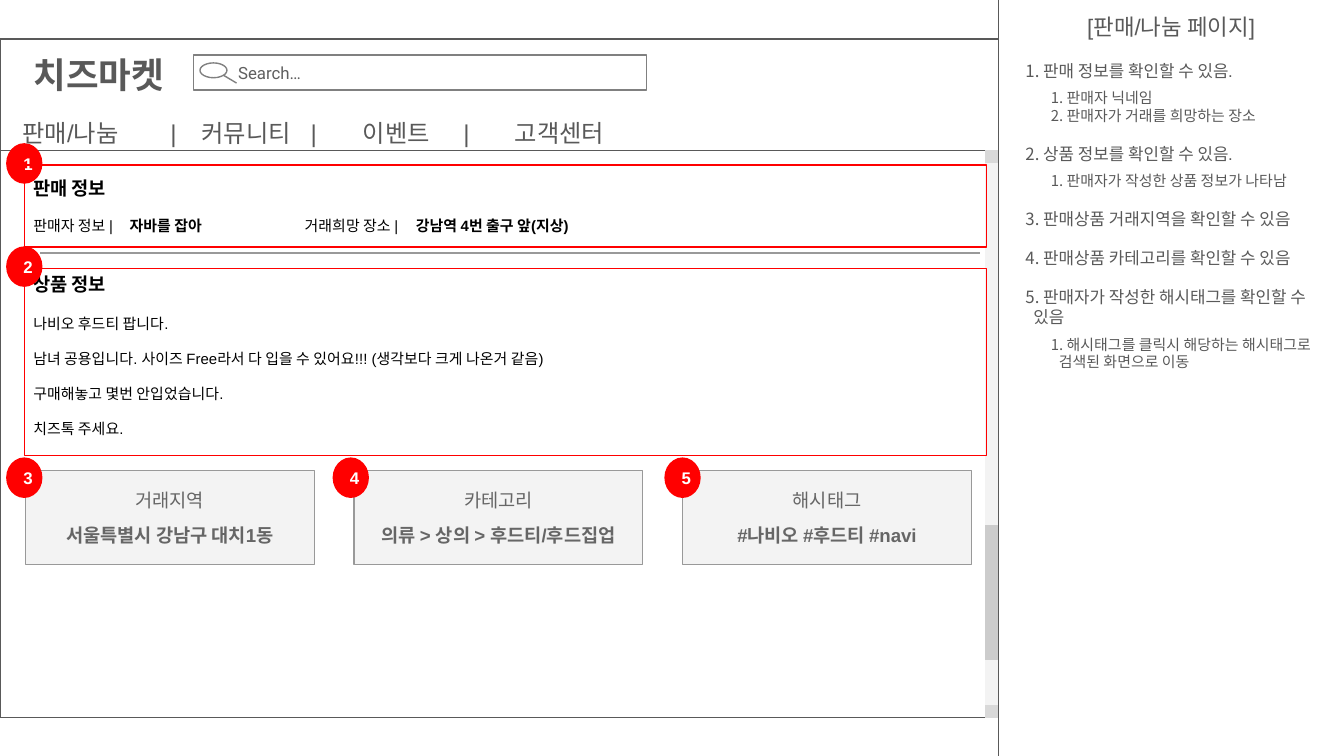
from dataclasses import dataclass
from pptx import Presentation
from pptx.dml.color import RGBColor
from pptx.enum.shapes import MSO_CONNECTOR as Conn, MSO_SHAPE as Shape
from pptx.enum.text import MSO_ANCHOR as Anchor, MSO_AUTO_SIZE as AutoSize, PP_ALIGN as Align
from pptx.oxml.ns import qn
from pptx.util import Cm, Pt
from lxml.etree import SubElement


@dataclass(frozen=True)
class Theme:
    font: str = "Arial"
    search_font: str = "Roboto"
    ink: str = "595959"
    black: str = "000000"
    white: str = "FFFFFF"
    red: str = "FF0000"
    card_text: str = "666666"
    search_text: str = "5F5F5F"
    pale: str = "F3F3F3"
    button: str = "D9D9D9"
    thumb: str = "CCCCCC"
    rule: str = "999999"
    search_line: str = "808080"
    logo: float = 19
    nav: float = 13
    title: float = 12
    heading: float = 10
    item: float = 9
    small: float = 8
    line: float = 0.75


T = Theme()
INSET = 0.25


def rgb(value):
    return RGBColor.from_string(value)


def add_text(tf, text, *, size, color=T.ink, bold=False, font=T.font, align=Align.LEFT,
             before=0, new=True, tabs=()):
    """Add a run, in a new paragraph unless new is False; tabs are in cm."""
    p = tf.paragraphs[-1]
    if new and p.runs:
        p = tf.add_paragraph()
    if new:
        p.alignment, p.space_before = align, Pt(before)
    r = p.add_run()
    r.text = text
    r.font.size, r.font.bold, r.font.name = Pt(size), bold, font
    r.font.color.rgb = rgb(color)
    if tabs:
        tab_list = SubElement(p._p.get_or_add_pPr(), qn("a:tabLst"))
        for pos in tabs:
            SubElement(tab_list, qn("a:tab"), pos=str(Cm(pos)), algn="l")
    return p


def number(p, left, hanging):
    """Give a paragraph an automatic number."""
    pPr = p._p.get_or_add_pPr()
    pPr.set("marL", str(Cm(left)))
    pPr.set("indent", str(-Cm(hanging)))
    SubElement(SubElement(pPr, qn("a:buClr")), qn("a:srgbClr"), val=T.ink)
    SubElement(pPr, qn("a:buFont"), typeface=T.font)
    SubElement(pPr, qn("a:buAutoNum"), type="arabicPeriod")


class Page:
    def __init__(self, slide, theme):
        self.s, self.t = slide, theme

    def frame(self, tf, anchor=Anchor.TOP, left=INSET, top=INSET):
        tf.word_wrap, tf.auto_size, tf.vertical_anchor = True, AutoSize.NONE, anchor
        tf.margin_left, tf.margin_right = Cm(left), Cm(INSET)
        tf.margin_top = tf.margin_bottom = Cm(top)
        return tf

    def placeholder(self, index, x, y, w, h, anchor=Anchor.TOP):
        sp = self.s.placeholders[index]
        sp.left, sp.top, sp.width, sp.height = map(Cm, (x, y, w, h))
        return self.frame(sp.text_frame, anchor)

    def text(self, x, y, w, h):
        return self.frame(self.s.shapes.add_textbox(*map(Cm, (x, y, w, h))).text_frame)

    def shape(self, x, y, w, h, line, fill=None, kind=Shape.RECTANGLE, **margins):
        sp = self.s.shapes.add_shape(kind, *map(Cm, (x, y, w, h)))
        sp.shadow.inherit = False
        if fill:
            sp.fill.solid()
            sp.fill.fore_color.rgb = rgb(fill)
        else:
            sp.fill.background()
        sp.line.color.rgb, sp.line.width = rgb(line), Pt(self.t.line)
        return self.frame(sp.text_frame, Anchor.MIDDLE, **margins)

    def line(self, x1, y1, x2, y2, color):
        c = self.s.shapes.add_connector(Conn.STRAIGHT, *map(Cm, (x1, y1, x2, y2)))
        c.line.color.rgb, c.line.width = rgb(color), Pt(self.t.line)
        SubElement(c._element.spPr, qn("a:effectLst"))

    def badge(self, label, x, y):
        tf = self.shape(x, y, 0.66, 0.74, self.t.red, self.t.red, Shape.OVAL)
        add_text(tf, label, size=self.t.item, color=self.t.white, bold=True, align=Align.CENTER)

    def card(self, x, title, value):
        tf = self.shape(x, 8.89, 5.46, 1.78, self.t.rule, self.t.pale)
        style = dict(size=self.t.heading, color=self.t.card_text, align=Align.CENTER)
        add_text(tf, title, **style)
        add_text(tf, value, bold=True, before=7, **style)

    def heading(self, text, y):
        add_text(self.text(0.38, y, 3.45, 0.94), text, size=self.t.heading,
                 color=self.t.black, bold=True)

    def field(self, x, w, label, value, tab):
        tf = self.text(x, 3.84, w, 0.86)
        style = dict(size=self.t.small, color=self.t.black)
        add_text(tf, f"{label} |\t", tabs=[tab], **style)
        add_text(tf, value, bold=True, new=False, **style)


NOTES = [
    ("판매 정보를 확인할 수 있음.", ["판매자 닉네임", "판매자가 거래를 희망하는 장소"]),
    ("상품 정보를 확인할 수 있음.", ["판매자가 작성한 상품 정보가 나타남"]),
    ("판매상품 거래지역을 확인할 수 있음", []),
    ("판매상품 카테고리를 확인할 수 있음", []),
    ("판매자가 작성한 해시태그를 확인할 수 있음",
     ["해시태그를 클릭시 해당하는 해시태그로 검색된 화면으로 이동"]),
]
DESCRIPTION = [
    "나비오 후드티 팝니다.",
    "남녀 공용입니다. 사이즈 Free라서 다 입을 수 있어요!!! (생각보다 크게 나온거 같음)",
    "구매해놓고 몇번 안입었습니다.",
    "치즈톡 주세요.",
]
CARDS = [
    ("거래지역", "서울특별시 강남구 대치1동"),
    ("카테고리", "의류 > 상의 > 후드티/후드집업"),
    ("해시태그", "#나비오 #후드티 #navi"),
]
BADGES = [(0.13, 2.72), (0.13, 4.67), (0.13, 8.66), (6.3, 8.66), (12.57, 8.66)]


def main():
    prs = Presentation()
    prs.slide_width, prs.slide_height = Cm(25.4), Cm(14.29)
    page = Page(prs.slides.add_slide(prs.slide_layouts[1]), T)

    # Notes panel
    tf = page.placeholder(0, 18.87, 0, 6.53, 1.02, Anchor.MIDDLE)
    add_text(tf, "[판매/나눔 페이지]", size=T.title, align=Align.CENTER)
    tf = page.placeholder(1, 18.87, 0.89, 6.53, 13.4)
    for i, (item, details) in enumerate(NOTES):
        p = add_text(tf, f" {item}", size=T.item, before=10 if i else 0)
        number(p, 0.41, 0.15)
        for j, detail in enumerate(details):
            p = add_text(tf, f" {detail}", size=T.small, before=0 if j else 4.5)
            p.level = 1
            number(p, 0.89, 0.15)

    # Browser frame and scroll bar
    page.shape(0, 0.74, 18.87, 12.83, T.ink)
    page.line(0, 2.84, 18.82, 2.84, T.ink)
    page.shape(18.62, 2.87, 0.23, 10.69, T.pale, T.pale)
    page.shape(18.62, 9.93, 0.23, 2.54, T.thumb, T.thumb)
    for y in (2.84, 13.34):
        page.shape(18.62, y, 0.25, 0.23, T.button, T.button)
    page.line(18.87, 0, 18.87, 14.29, T.ink)

    # Sale and product details
    tf = page.text(0.38, 5.69, 15.01, 2.9)
    for i, text in enumerate(DESCRIPTION):
        add_text(tf, text, size=T.small, color=T.black, before=9.3 if i else 0)
    page.heading("판매 정보", 3.1)
    page.field(0.38, 4.93, "판매자 정보", "자바를 잡아", 1.82)
    page.field(5.51, 9.7, "거래희망 장소", "강남역 4번 출구 앞(지상)", 2.1)
    page.heading("상품 정보", 4.9)
    page.line(0.76, 4.78, 18.52, 4.78, T.rule)
    page.shape(0.46, 5.08, 18.19, 3.53, T.red)

    # Cards, numbered badges and the sale outline
    for i, (title, value) in enumerate(CARDS):
        page.card(0.48 + 6.21 * i, title, value)
    for i, (x, y) in enumerate(BADGES, 1):
        page.badge(str(i), x, y)
    page.shape(0.46, 3.12, 18.19, 1.55, T.red)

    # Site header: menu, name and search
    tf = page.text(0.18, 1.98, 12.98, 0.76)
    menu = "\t|\t".join(["판매/나눔", "커뮤니티", "이벤트", "고객센터"])
    add_text(tf, menu, size=T.nav, tabs=[2.79, 3.38, 5.44, 6.43, 8.33, 9.3])
    tf = page.text(0, 0.76, 3.73, 1.32)
    add_text(tf, "치즈마켓", size=T.logo, bold=True, align=Align.CENTER)
    tf = page.shape(3.66, 1.04, 8.56, 0.66, T.search_line, T.white, left=0.84, top=0.15)
    add_text(tf, "Search…", size=T.item, color=T.search_text, font=T.search_font)
    page.shape(3.78, 1.19, 0.51, 0.28, T.search_line, T.white, Shape.OVAL)
    page.line(4.22, 1.42, 4.47, 1.57, T.search_line)

    prs.save("out.pptx")


if __name__ == "__main__":
    main()
